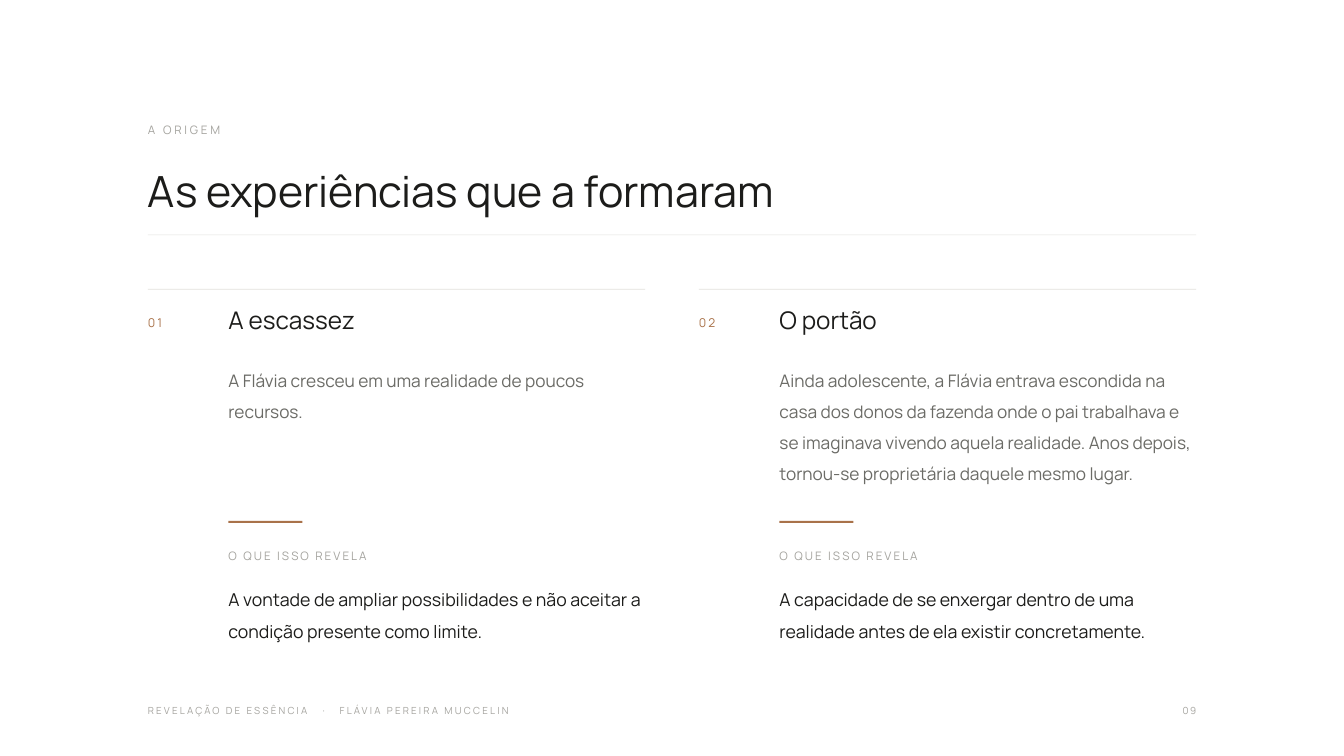
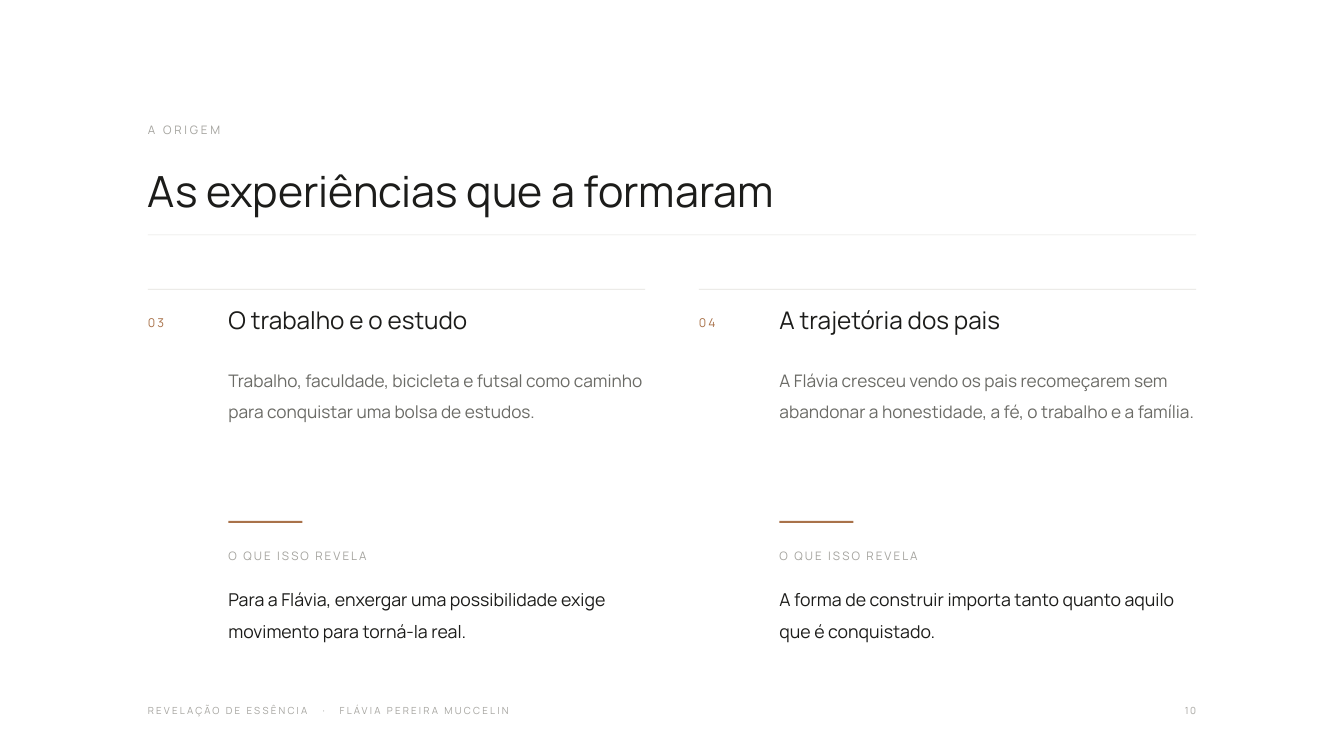
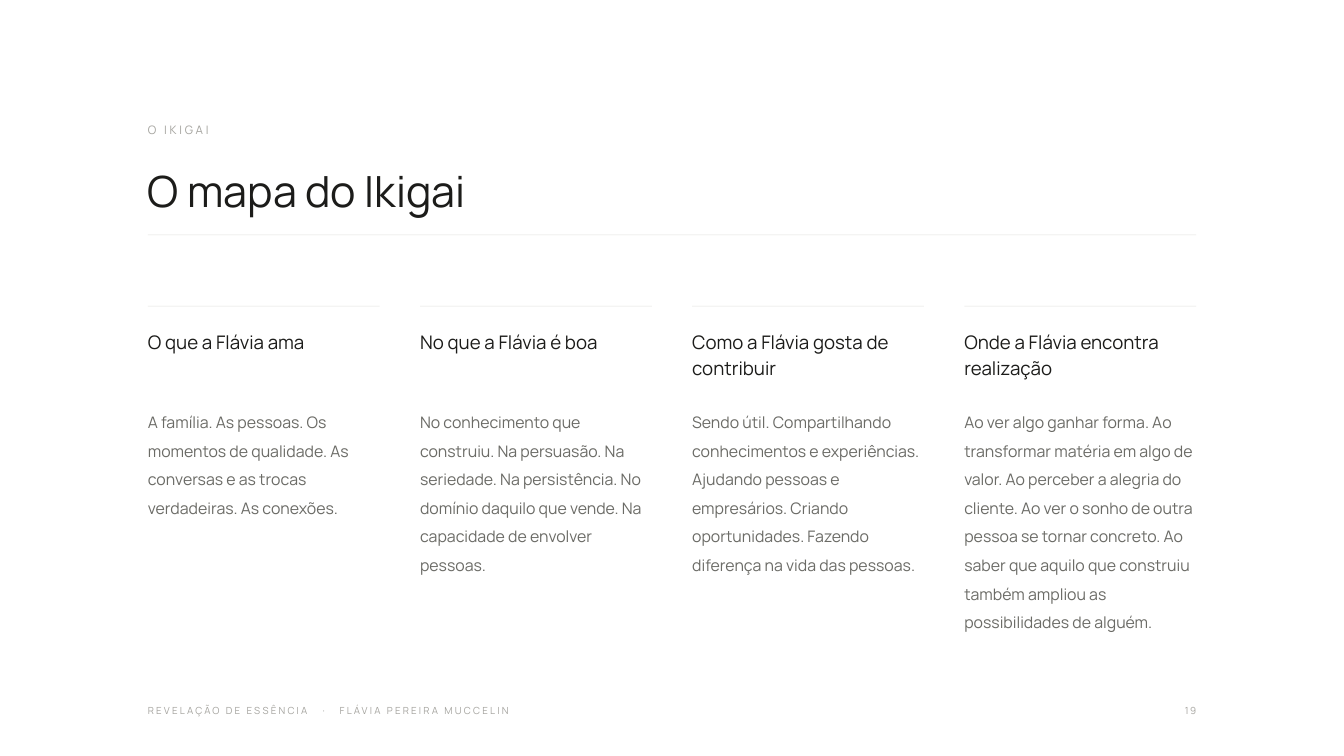
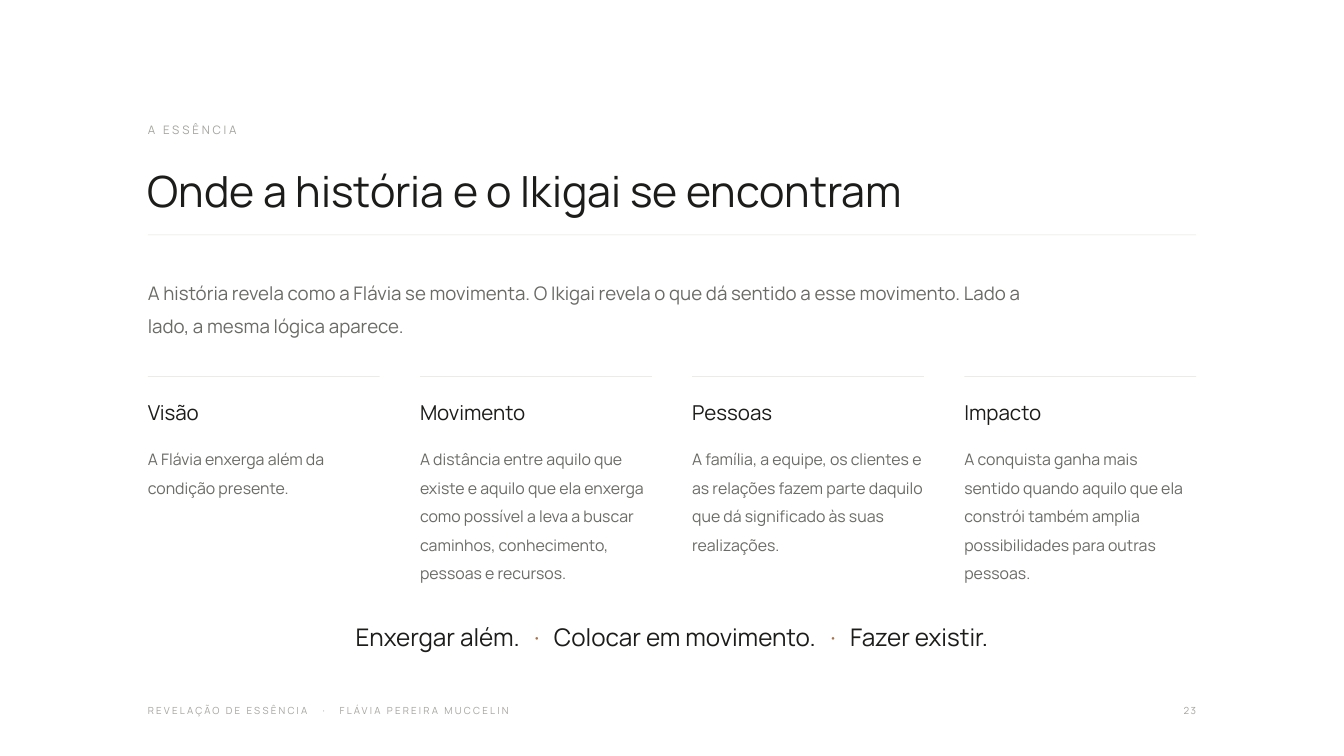
from pptx import Presentation
from pptx.dml.color import RGBColor
from pptx.enum.shapes import MSO_SHAPE
from pptx.enum.text import MSO_ANCHOR, MSO_AUTO_SIZE, PP_ALIGN
from pptx.util import Pt

RECT = MSO_SHAPE.RECTANGLE
TOP = MSO_ANCHOR.TOP
GROW = MSO_AUTO_SIZE.SHAPE_TO_FIT_TEXT
LEFT, CENTER, RIGHT = PP_ALIGN.LEFT, PP_ALIGN.CENTER, PP_ALIGN.RIGHT

FOOTER = ["REVELAÇÃO DE ESSÊNCIA", "FLÁVIA PEREIRA MUCCELIN"]
REVEALS = "O QUE ISSO REVELA"

SLIDES = [
    {
        "kind": "experiences", "page": "09", "section": "A ORIGEM",
        "title": "As experiências que a formaram",
        "items": [
            ("01", "A escassez",
             "A Flávia cresceu em uma realidade de poucos recursos.",
             "A vontade de ampliar possibilidades e não aceitar a condição presente como limite."),
            ("02", "O portão",
             "Ainda adolescente, a Flávia entrava escondida na casa dos donos da fazenda onde o pai "
             "trabalhava e se imaginava vivendo aquela realidade. Anos depois, tornou-se "
             "proprietária daquele mesmo lugar.",
             "A capacidade de se enxergar dentro de uma realidade antes de ela existir concretamente."),
        ],
    },
    {
        "kind": "experiences", "page": "10", "section": "A ORIGEM",
        "title": "As experiências que a formaram",
        "items": [
            ("03", "O trabalho e o estudo",
             "Trabalho, faculdade, bicicleta e futsal como caminho para conquistar uma bolsa de estudos.",
             "Para a Flávia, enxergar uma possibilidade exige movimento para torná-la real."),
            ("04", "A trajetória dos pais",
             "A Flávia cresceu vendo os pais recomeçarem sem abandonar a honestidade, a fé, "
             "o trabalho e a família.",
             "A forma de construir importa tanto quanto aquilo que é conquistado."),
        ],
    },
    {
        "kind": "map", "page": "19", "section": "O IKIGAI",
        "title": "O mapa do Ikigai",
        "items": [
            ("O que a Flávia ama",
             "A família. As pessoas. Os momentos de qualidade. As conversas e as trocas "
             "verdadeiras. As conexões."),
            ("No que a Flávia é boa",
             "No conhecimento que construiu. Na persuasão. Na seriedade. Na persistência. "
             "No domínio daquilo que vende. Na capacidade de envolver pessoas."),
            ("Como a Flávia gosta de contribuir",
             "Sendo útil. Compartilhando conhecimentos e experiências. Ajudando pessoas e "
             "empresários. Criando oportunidades. Fazendo diferença na vida das pessoas."),
            ("Onde a Flávia encontra realização",
             "Ao ver algo ganhar forma. Ao transformar matéria em algo de valor. Ao perceber a "
             "alegria do cliente. Ao ver o sonho de outra pessoa se tornar concreto. Ao saber que "
             "aquilo que construiu também ampliou as possibilidades de alguém."),
        ],
    },
    {
        "kind": "meeting", "page": "23", "section": "A ESSÊNCIA",
        "title": "Onde a história e o Ikigai se encontram",
        "intro": "A história revela como a Flávia se movimenta. O Ikigai revela o que dá sentido a "
                 "esse movimento. Lado a lado, a mesma lógica aparece.",
        "items": [
            ("Visão", "A Flávia enxerga além da condição presente."),
            ("Movimento",
             "A distância entre aquilo que existe e aquilo que ela enxerga como possível a leva a "
             "buscar caminhos, conhecimento, pessoas e recursos."),
            ("Pessoas",
             "A família, a equipe, os clientes e as relações fazem parte daquilo que dá "
             "significado às suas realizações."),
            ("Impacto",
             "A conquista ganha mais sentido quando aquilo que ela constrói também amplia "
             "possibilidades para outras pessoas."),
        ],
        "closing": ["Enxergar além.", "Colocar em movimento.", "Fazer existir."],
    },
]


class Theme:
    font = "Manrope"
    ink, body, muted = "1C1C1A", "6B6B66", "A5A49F"
    rule, accent = "E2E1DD", "A9724A"
    styles = {
        "section": dict(size=12.5, color=muted, line=1.35, track=3),
        "title": dict(size=46, color=ink, line=1.12),
        "number": dict(size=13, color=accent, line=1.35, track=2.4),
        "heading": dict(size=26, color=ink, line=1.1),
        "story": dict(size=18.5, color=body, line=1.5),
        "label": dict(size=12.5, color=muted, line=1.35, track=2.2),
        "lesson": dict(size=19, color=ink, line=1.5),
        "map_heading": dict(size=20, color=ink, line=1.15),
        "meeting_heading": dict(size=22, color=ink, line=1.1),
        "column": dict(size=17, color=body, line=1.5),
        "intro": dict(size=20, color=body, line=1.45),
        "closing": dict(size=26, color=ink, line=1.25, align=CENTER, dot=accent, gap=10),
        "footer": dict(size=10.5, color=muted, line=1.25, track=2.4, dot=muted, gap=11.4),
        "page": dict(size=10.5, color=muted, line=1.25, track=1.6, align=RIGHT),
    }


WIDTH, HEIGHT = 1440, 810
MARGIN = 158.4
CONTENT = WIDTH - 2 * MARGIN
HAIRLINE = 0.72
INDENT = 86.4


def columns(count, gap):
    width = (CONTENT - gap * (count - 1)) / count
    return [MARGIN + i * (width + gap) for i in range(count)], width


def place(shape, x, y, w, h):
    for name, value in dict(left=x, top=y, width=w, height=h).items():
        setattr(shape, name, Pt(value))


def add_run(p, text, size, color, track):
    r = p.add_run()
    r.text = text
    for name, value in dict(name=Theme.font, size=Pt(size), bold=False).items():
        setattr(r.font, name, value)
    r.font.color.rgb = RGBColor.from_string(color)
    if track:
        r._r.get_or_add_rPr().set("spc", str(round(track * 100)))


def write(shape, parts, style):
    st = Theme.styles[style]
    size, color, track = st["size"], st["color"], st.get("track", 0)
    tf = shape.text_frame
    frame = dict(margin_left=0, margin_top=0, margin_right=0, margin_bottom=0,
                 word_wrap=True, vertical_anchor=TOP, auto_size=GROW)
    for name, value in frame.items():
        setattr(tf, name, value)
    p = tf.paragraphs[0]
    for name, value in dict(alignment=st.get("align", LEFT), line_spacing=st["line"]).items():
        setattr(p, name, value)
    for i, part in enumerate(parts):
        if i:
            for text, spacing in ((" ", st["gap"]), ("·", track), (" ", st["gap"])):
                add_run(p, text, size, st["dot"], spacing)
        add_run(p, part, size, color, track)


def add_text(s, parts, style, x, y, w, h):
    write(s.shapes.add_textbox(Pt(x), Pt(y), Pt(w), Pt(h)), parts, style)


def add_bar(s, x, y, w, h=HAIRLINE, color=Theme.rule):
    bar = s.shapes.add_shape(RECT, Pt(x), Pt(y), Pt(w), Pt(h))
    bar.shadow.inherit = False
    bar.fill.solid()
    bar.fill.fore_color.rgb = RGBColor.from_string(color)
    bar.line.fill.background()


def add_frame(s, data):
    title = s.shapes.title
    place(title, MARGIN, 169.2, CONTENT, 73.44)
    write(title, [data["title"]], "title")
    add_text(s, [data["section"]], "section", MARGIN, 126, 864, 25.2)
    add_bar(s, MARGIN, 251.28, CONTENT)
    add_text(s, FOOTER, "footer", MARGIN, 752.4, 792, 25.2)
    add_text(s, [data["page"]], "page", WIDTH - MARGIN - 144, 752.4, 144, 25.2)


def add_experiences(s, data):
    lefts, width = columns(len(data["items"]), 57.6)
    for x, (number, heading, story, lesson) in zip(lefts, data["items"]):
        add_bar(s, x, 309.6, width)
        add_text(s, [number], "number", x, 332.64, 72, 21.6)
        inner, inner_width = x + INDENT, width - INDENT
        for text, style, y, h in ((heading, "heading", 324, 43.2),
                                  (story, "story", 385.2, 158.4),
                                  (REVEALS, "label", 583.2, 21.6),
                                  (lesson, "lesson", 619.2, 100.8)):
            add_text(s, [text], style, inner, y, inner_width, h)
        add_bar(s, inner, 558, 79.2, 2.16, Theme.accent)


def add_columns(s, items, style, rule_y, heading_y, heading_h, body_y, body_h):
    lefts, width = columns(len(items), 43.2)
    for x, (heading, body) in zip(lefts, items):
        add_bar(s, x, rule_y, width)
        add_text(s, [heading], style, x, heading_y, width, heading_h)
        add_text(s, [body], "column", x, body_y, width, body_h)


def add_map(s, data):
    add_columns(s, data["items"], "map_heading", 327.6, 351.36, 72, 432, 244.8)


def add_meeting(s, data):
    add_text(s, [data["intro"]], "intro", MARGIN, 291.6, 979.2, 86.4)
    add_columns(s, data["items"], "meeting_heading", 403.2, 426.24, 36, 471.6, 172.8)
    add_text(s, data["closing"], "closing", MARGIN, 658.8, CONTENT, 50.4)


BUILDERS = {"experiences": add_experiences, "map": add_map, "meeting": add_meeting}


def main():
    prs = Presentation()
    prs.slide_width, prs.slide_height = Pt(WIDTH), Pt(HEIGHT)
    for data in SLIDES:
        s = prs.slides.add_slide(prs.slide_layouts[5])
        add_frame(s, data)
        BUILDERS[data["kind"]](s, data)
    prs.save("out.pptx")


if __name__ == "__main__":
    main()
